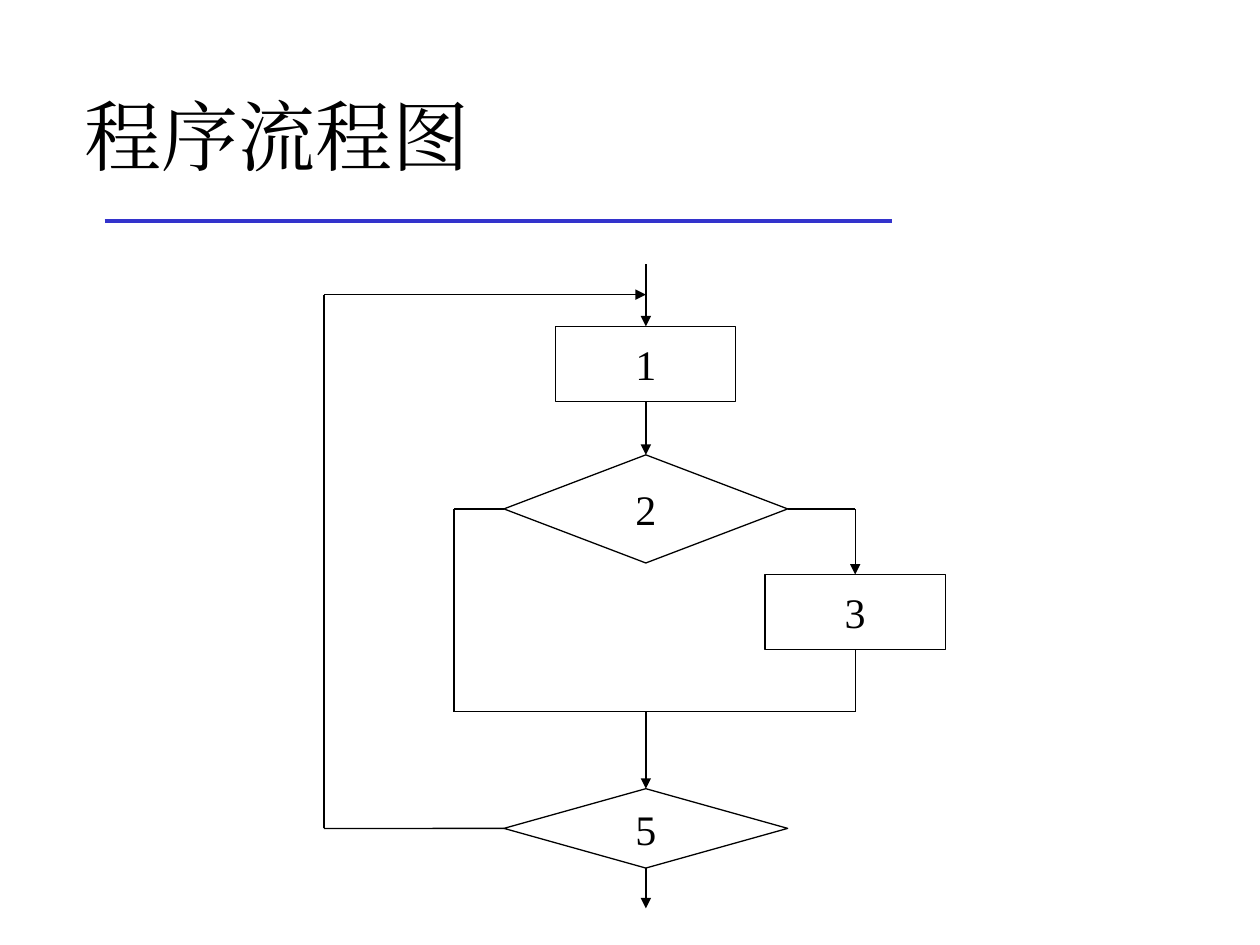
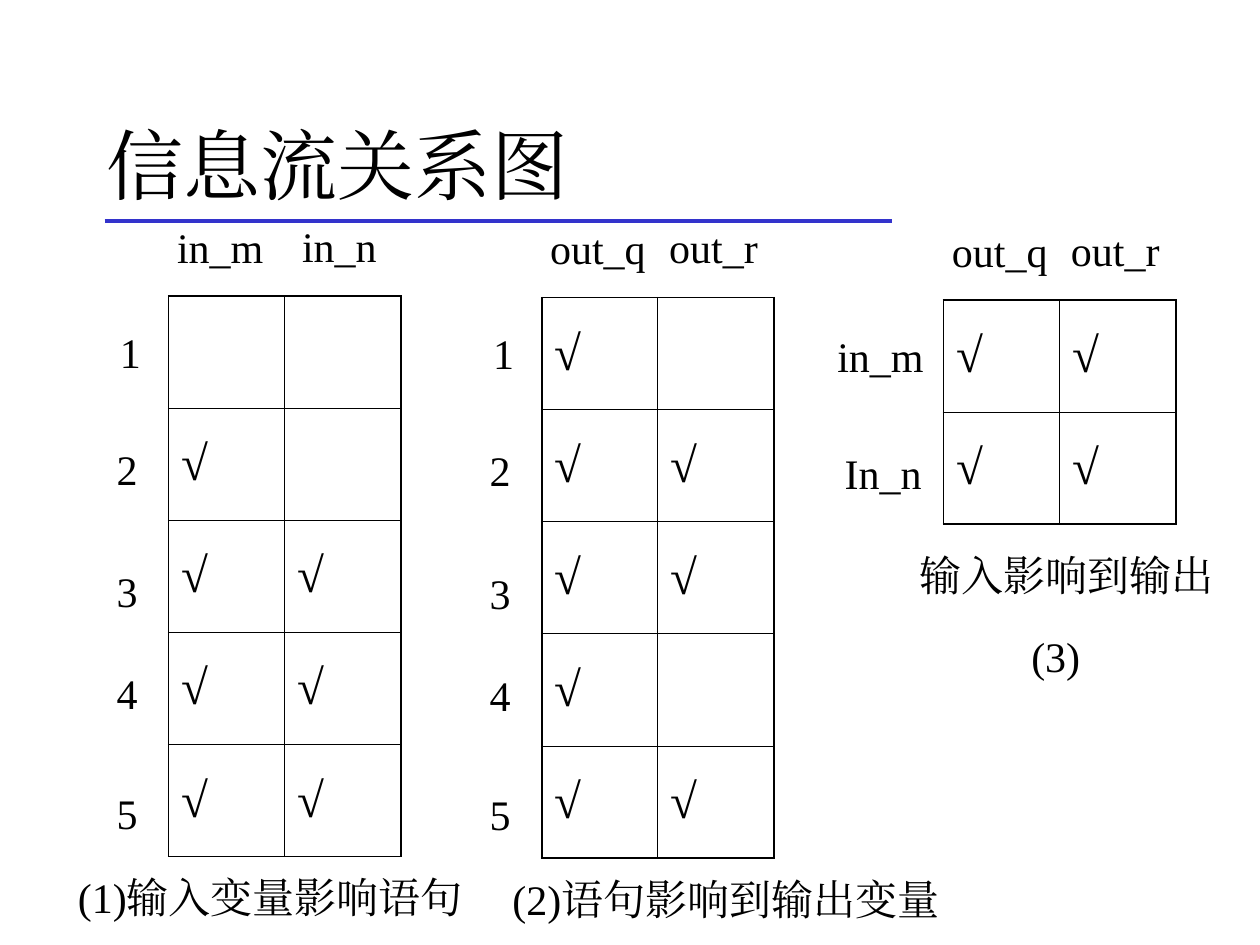
from dataclasses import dataclass

from lxml import etree
from pptx import Presentation
from pptx.dml.color import RGBColor
from pptx.enum.shapes import MSO_CONNECTOR, MSO_SHAPE
from pptx.enum.text import MSO_ANCHOR, MSO_AUTO_SIZE, PP_ALIGN
from pptx.oxml.ns import qn
from pptx.util import Cm, Pt

STRAIGHT = MSO_CONNECTOR.STRAIGHT
RECTANGLE, DIAMOND = MSO_SHAPE.RECTANGLE, MSO_SHAPE.DIAMOND
MIDDLE = MSO_ANCHOR.MIDDLE
NO_FIT = MSO_AUTO_SIZE.NONE
LEFT, CENTER, JUSTIFY = PP_ALIGN.LEFT, PP_ALIGN.CENTER, PP_ALIGN.JUSTIFY
TOP_SIDE, LEFT_SIDE, BOTTOM_SIDE, RIGHT_SIDE = range(4)

COLORS = {"ink": "000000", "rule": "3333CC"}
FONT = "Times New Roman"
THIN, THICK = 0.45, 1.08
COLUMN_WIDTH, ROW_HEIGHT = 2.34, 2.26
LABEL_HEIGHT = 1.27
HEADER_TOPS = (-1.63, -1.65)
ROW_LABEL_TOPS = (0.48, 2.84, 5.31, 7.37, 9.78)


@dataclass
class Box:
    left: float
    top: float
    width: float
    height: float

    def place(self, left, top):
        return Cm(self.left + left), Cm(self.top + top)


def color(name):
    return RGBColor.from_string(COLORS[name])


def style_paragraph(para, size, align):
    para.alignment = align
    para.font.size = Pt(size)
    para.font.color.rgb = color("ink")
    para.font.name = FONT
    defaults = para._p.pPr.find(qn("a:defRPr"))
    etree.SubElement(defaults, qn("a:ea"), typeface=FONT)


def add_line(page, start, end, name="ink", width=0.75, arrow=False):
    line = page.shapes.add_connector(STRAIGHT, *start, *end)
    line.line.color.rgb = color(name)
    line.line.width = Pt(width)
    if arrow:
        etree.SubElement(line.line._get_or_add_ln(), qn("a:tailEnd"), type="triangle")
    etree.SubElement(line._element.spPr, qn("a:effectLst"))
    return line


def add_page(deck, layout, title, box):
    page = deck.slides.add_slide(layout)
    holder = page.shapes.title
    holder.left, holder.top = box.place(0, 0)
    holder.width, holder.height = Cm(box.width), Cm(box.height)
    frame = holder.text_frame
    frame.text = title
    frame.auto_size = NO_FIT
    frame.vertical_anchor = MIDDLE
    style_paragraph(frame.paragraphs[0], 44, LEFT)
    return page


def move_rule_to_layout(page, layout):
    rule = add_line(page, (Cm(2.11), Cm(4.45)), (Cm(17.98), Cm(4.45)), "rule", 2.25)
    layout.shapes._spTree.append(rule._element)


def add_node(page, box, kind, text, center, top, width, height):
    node = page.shapes.add_shape(
        kind, *box.place(center - width / 2, top), Cm(width), Cm(height))
    node.shadow.inherit = False
    node.fill.background()
    node.line.color.rgb = color("ink")
    node.line.width = Pt(0.75)
    frame = node.text_frame
    frame.text = text
    frame.word_wrap = False
    frame.vertical_anchor = MIDDLE
    style_paragraph(frame.paragraphs[0], 24, CENTER)
    return node


def side_point(node, side):
    middle_x = node.left + node.width // 2
    middle_y = node.top + node.height // 2
    return {
        TOP_SIDE: (middle_x, node.top),
        LEFT_SIDE: (node.left, middle_y),
        BOTTOM_SIDE: (middle_x, node.top + node.height),
        RIGHT_SIDE: (node.left + node.width, middle_y),
    }[side]


def build_flowchart(page, box):
    axis, branch, bypass = 6.49, 10.71, 2.62
    merge, back, split, repeat = 9.02, 0.61, 4.93, 11.37
    process, decision = (3.63, 1.52), (5.72, 2.18)
    nodes = {
        text: add_node(page, box, kind, text, center, top, *size)
        for text, kind, center, top, size in (
            ("1", RECTANGLE, axis, 1.25, process),
            ("3", RECTANGLE, branch, 6.25, process),
            ("2", DIAMOND, axis, split - decision[1] / 2, decision),
            ("5", DIAMOND, axis, repeat - 0.8, (5.72, 1.6)),
        )
    }
    edges = (
        ((axis, 0), ("1", TOP_SIDE), True),
        (("1", BOTTOM_SIDE), ("2", TOP_SIDE), True),
        (("2", RIGHT_SIDE), (branch, split), False),
        ((branch, split), ("3", TOP_SIDE), True),
        (("2", LEFT_SIDE), (bypass, split), False),
        ((bypass, split), (bypass, merge), False),
        (("3", BOTTOM_SIDE), (branch, merge), False),
        ((branch, merge), (bypass, merge), False),
        ((axis, merge), ("5", TOP_SIDE), True),
        (("5", LEFT_SIDE), (0, repeat), False),
        ((0, repeat), (0, back), False),
        ((0, back), (axis, back), True),
        (("5", BOTTOM_SIDE), (axis, box.height), True),
    )

    def locate(end):
        if end[0] in nodes:
            return side_point(nodes[end[0]], end[1])
        return box.place(*end)

    for start, end, arrow in edges:
        line = add_line(page, locate(start), locate(end), arrow=arrow)
        if start[0] in nodes:
            line.begin_connect(nodes[start[0]], start[1])
        if end[0] in nodes:
            line.end_connect(nodes[end[0]], end[1])


def add_label(page, box, text, left, top, width):
    label = page.shapes.add_textbox(*box.place(left, top), Cm(width), Cm(LABEL_HEIGHT))
    frame = label.text_frame
    frame.word_wrap = True
    frame.text = text
    style_paragraph(frame.paragraphs[0], 24, JUSTIFY)


def set_borders(cell, widths):
    properties = cell._tc.get_or_add_tcPr()
    for index, (side, width) in enumerate(zip("LRTB", widths)):
        border = etree.Element(qn(f"a:ln{side}"), w=str(Pt(width)))
        fill = etree.SubElement(border, qn("a:solidFill"))
        etree.SubElement(fill, qn("a:srgbClr"), val=COLORS["ink"])
        properties.insert(index, border)


def add_grid(page, box, marks):
    rows, columns = len(marks), len(marks[0])
    frame = page.shapes.add_table(
        rows, columns, *box.place(0, 0), Cm(box.width), Cm(box.height))
    table = frame.table
    table.first_row = table.horz_banding = False
    for column in table.columns:
        column.width = Cm(COLUMN_WIDTH)
    for row in table.rows:
        row.height = Cm(ROW_HEIGHT)
    for y, row in enumerate(marks):
        for x, marked in enumerate(row):
            cell = table.cell(y, x)
            cell.fill.background()
            cell.vertical_anchor = MIDDLE
            edges = (x == 0, x == columns - 1, y == 0, y == rows - 1)
            set_borders(cell, [THICK if outer else THIN for outer in edges])
            if marked:
                cell.text = "√"
                style_paragraph(cell.text_frame.paragraphs[0], 28, LEFT)


def build_relation(page, left, top, marks, headers, row_labels, captions):
    box = Box(left, top, COLUMN_WIDTH * len(marks[0]), ROW_HEIGHT * len(marks))
    add_grid(page, box, marks)
    for (text, offset, width), label_top in zip(headers, HEADER_TOPS):
        add_label(page, box, text, offset, label_top, width)
    for (text, offset, width), label_top in zip(row_labels, ROW_LABEL_TOPS):
        add_label(page, box, text, offset, label_top, width)
    for text, offset, gap, width in captions:
        add_label(page, box, text, offset, box.height + gap, width)


def build_relations(page, box):
    statements = [("1", -1.23, 1.02)] + [(text, -1.3, 1.02) for text in "2345"]
    inputs = (("in_m", -0.08, 2.34), ("in_n", 2.44, 2.34))
    outputs = (("out_q", -0.08, 2.67), ("out_r", 2.32, 2.34))
    relations = (
        (0, 0, ((0, 0), (1, 0), (1, 1), (1, 1), (1, 1)), inputs, statements,
         [("(1)输入变量影响语句", -2.08, 0.18, 8.74)]),
        (7.52, 0.03, ((1, 0), (1, 1), (1, 1), (1, 0), (1, 1)), outputs, statements,
         [("(2)语句影响到输出变量", -0.84, 0.18, 9.68)]),
        (15.62, 0.08, ((1, 1), (1, 1)), outputs,
         [("in_m", -2.39, 2.49), ("In_n", -2.24, 2.08)],
         [("(3)", 1.52, 2.01, 1.7), ("输入影响到输出", -0.74, 0.38, 6.53)]),
    )
    for left, top, *content in relations:
        build_relation(page, box.left + left, box.top + top, *content)


def main():
    deck = Presentation()
    deck.slide_width, deck.slide_height = Cm(25.4), Cm(19.05)
    layout = deck.slide_layouts.get_by_name("Title Only")

    flow_page = add_page(deck, layout, "程序流程图", Box(1.45, 1.12, 22.05, 3.18))
    move_rule_to_layout(flow_page, layout)
    build_flowchart(flow_page, Box(6.53, 5.33, 12.52, 12.98))

    relation_page = add_page(deck, layout, "信息流关系图", Box(1.9, 1.7, 21.59, 3.18))
    build_relations(relation_page, Box(3.4, 5.97, 20.3, 11.3))

    deck.save("out.pptx")


if __name__ == "__main__":
    main()
